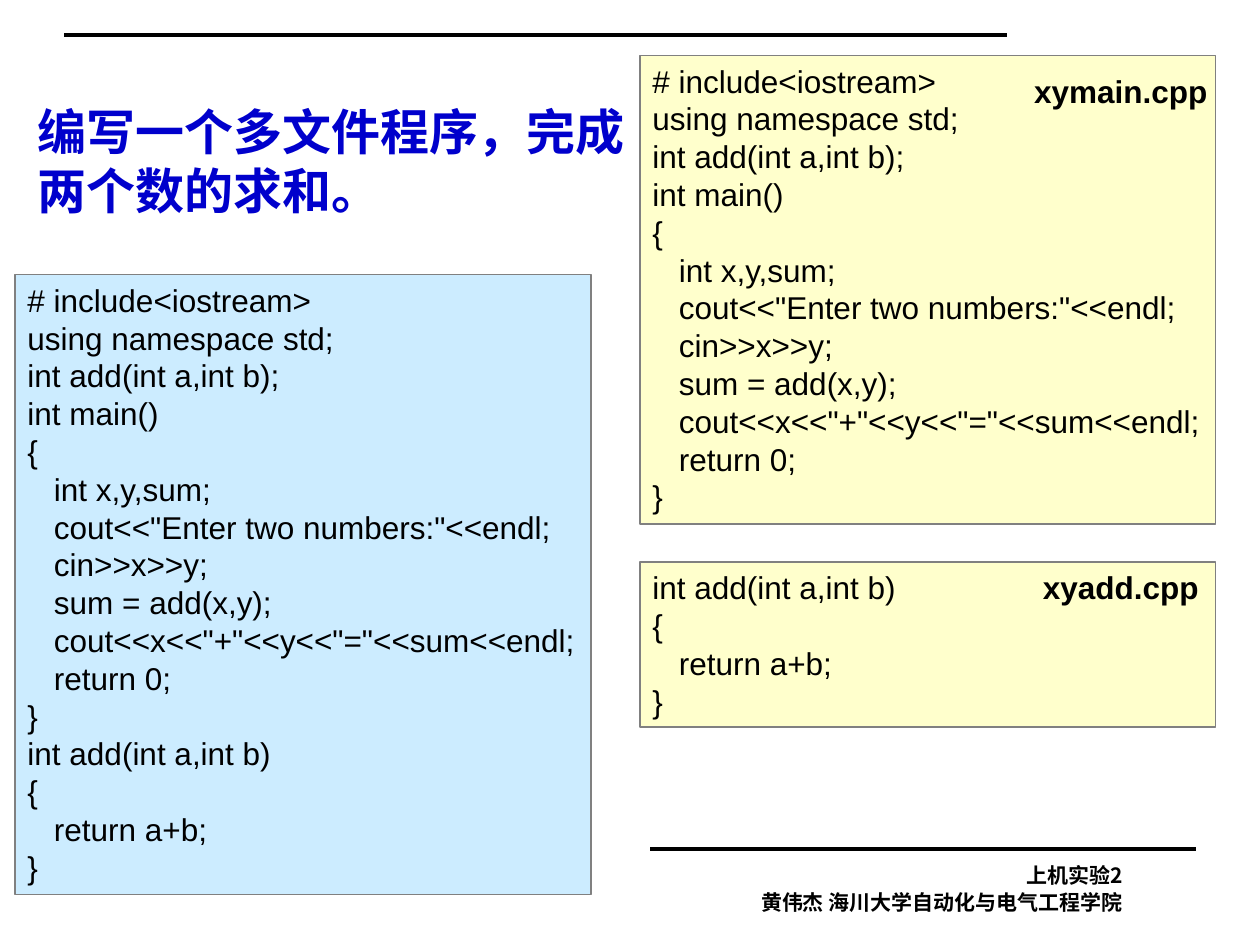
import pptx
import pptx.util
import pptx.dml.color
import pptx.enum.shapes
import pptx.enum.text
import lxml.etree

Inches = pptx.util.Inches
Pt = pptx.util.Pt
ALIGN = pptx.enum.text.PP_ALIGN
COLORS = {"ink": "000000", "title": "0000CC", "edge": "808080",
          "blue": "CCECFF", "cream": "FFFFCC"}
TAB = "\t"
MAIN = """# include<iostream>
using namespace std;
int add(int a,int b);
int main()
{
\tint x,y,sum;
\tcout<<"Enter two numbers:"<<endl;
\tcin>>x>>y;
\tsum = add(x,y);
\tcout<<x<<"+"<<y<<"="<<sum<<endl;
\treturn 0;
}""".split("\n")
ADD = """int add(int a,int b)
{
\treturn a+b;
}""".split("\n")


def tint(name):
    """Return the named colour."""
    return pptx.dml.color.RGBColor.from_string(COLORS[name])


def write(shape, lines, size, color="ink", bold=False, align=ALIGN.LEFT,
          face="Arial", space=None):
    """Fill a shape with lines, indenting those that start with a tab."""
    frame = shape.text_frame
    frame.word_wrap = True
    frame.auto_size = pptx.enum.text.MSO_AUTO_SIZE.SHAPE_TO_FIT_TEXT
    frame.vertical_anchor = pptx.enum.text.MSO_ANCHOR.TOP
    for i, line in enumerate(lines):
        para = frame.add_paragraph() if i else frame.paragraphs[0]
        para.text = line.lstrip(TAB)
        para.alignment = align
        para.line_spacing = space
        if line.startswith(TAB):
            para._p.get_or_add_pPr().set("marL", str(Inches(0.21)))
        for run in para.runs:
            run.font.name = face
            run.font.size = Pt(size)
            run.font.bold = bold
            run.font.color.rgb = tint(color)


def label(slide, box, lines, size, **style):
    """Place a text box."""
    write(slide.shapes.add_textbox(*map(Inches, box)), lines, size, **style)


def rule(slide, left, right, top):
    """Draw a heavy horizontal line."""
    line = slide.shapes.add_connector(
        pptx.enum.shapes.MSO_CONNECTOR.STRAIGHT,
        Inches(left), Inches(top), Inches(right), Inches(top))
    line.line.color.rgb = tint("ink")
    line.line.width = Pt(2.25)
    lxml.etree.SubElement(line._element.spPr,
                          pptx.oxml.ns.qn("a:effectLst"))


def panel(slide, box, lines, fill, name=None, drop=0):
    """Draw a code panel, with its file name at the top right."""
    shape = slide.shapes.add_shape(
        pptx.enum.shapes.MSO_SHAPE.RECTANGLE, *map(Inches, box))
    shape.shadow.inherit = False
    shape.fill.solid()
    shape.fill.fore_color.rgb = tint(fill)
    shape.line.color.rgb = tint("edge")
    shape.line.width = Pt(0.75)
    write(shape, lines, 18)
    if name:
        left, top = box[:2]
        label(slide, (left + 2.99, top + drop, 1.65, 0.4), [name], 18,
              bold=True, align=ALIGN.CENTER)


def footer(slide, left, top):
    """Draw the footer line and its two lines of text."""
    rule(slide, left, left + 4.33, top)
    label(slide, (left + 0.15, top + 0.05, 3.7, 0.71),
          ["上机实验2", "黄伟杰 海川大学自动化与电气工程学院"], 12,
          bold=True, align=ALIGN.RIGHT, face="Noto Sans CJK SC", space=1.05)


def main():
    """Build and save the slide."""
    deck = pptx.Presentation()
    deck.slide_width, deck.slide_height = Inches(10), Inches(7.5)
    slide = deck.slides.add_slide(deck.slide_layouts[6])
    rule(slide, 0.51, 7.99, 0.28)
    footer(slide, 5.16, 6.74)
    panel(slide, (0.12, 2.18, 4.57, 4.92), MAIN + ADD, "blue")
    label(slide, (0.2, 0.76, 4.88, 1.03),
          ["编写一个多文件程序，完成两个数的求和。"], 28,
          color="title", bold=True)
    panel(slide, (5.08, 0.44, 4.57, 3.72), MAIN, "cream", "xymain.cpp", 0.08)
    panel(slide, (5.08, 4.46, 4.57, 1.31), ADD, "cream", "xyadd.cpp")
    deck.save("out.pptx")


if __name__ == "__main__":
    main()
